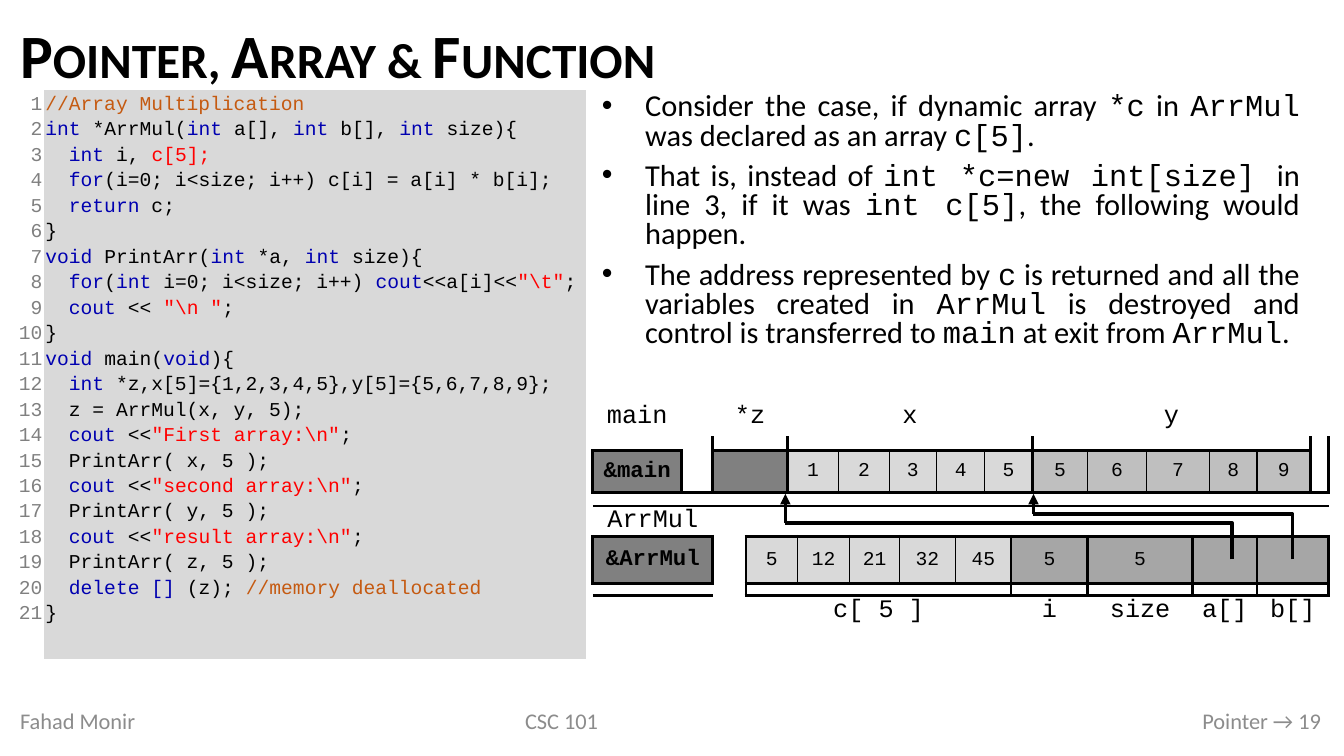
import pptx
import pptx.util
import pptx.dml.color
import pptx.enum.shapes
import pptx.enum.text
import pptx.oxml
import pptx.oxml.ns
import lxml.etree

Inches, Pt = pptx.util.Inches, pptx.util.Pt
RGB = pptx.dml.color.RGBColor
ALIGN = pptx.enum.text.PP_ALIGN
MIDDLE = pptx.enum.text.MSO_ANCHOR.MIDDLE
LINE = pptx.enum.shapes.MSO_CONNECTOR

BLACK = RGB(0, 0, 0)
BLUE = RGB(0, 0, 0xB0)
RED = RGB(0xFF, 0, 0)
RUST = RGB(0xC5, 0x5A, 0x11)
DARK = RGB(0x80, 0x80, 0x80)
ASH = RGB(0xA6, 0xA6, 0xA6)
GREY = RGB(0xBF, 0xBF, 0xBF)
LIGHT = RGB(0xD9, 0xD9, 0xD9)
FOOT = RGB(0x8C, 0x8C, 0x8C)
SANS, MONO = "Calibri", "Courier New"

# Content: "|" parts the runs; @ is a keyword, ! a literal, # a remark
TITLE = "Pointer, Array & Function"
MARKS = {"@": BLUE, "!": RED, "#": RUST}
CODE = [
    "#//Array Multiplication",
    "@int| *ArrMul(|@int| a[], |@int| b[], |@int| size){",
    "  |@int |i, |!c[5];",
    "  |@for|(i=0; i<size; i++) c[i] = a[i] * b[i];",
    "  |@return| c;",
    "}",
    "@void |PrintArr(|@int| *a, |@int| size){",
    '  |@for|(|@int |i=0; i<size; i++) |@cout|<<a[i]<<|!"\\t"|;',
    '  |@cout |<< |!"\\n "|;',
    "}",
    "@void| main(|@void|){",
    "  |@int| *z,x[5]={1,2,3,4,5},y[5]={5,6,7,8,9};",
    "  z = ArrMul(x, y, 5);",
    '  |@cout |<<|!"First array:\\n"|;',
    "  PrintArr( x, 5 );",
    '  |@cout |<<|!"second array:\\n"|;',
    "  PrintArr( y, 5 );",
    '  |@cout |<<|!"result array:\\n"|;',
    "  PrintArr( z, 5 );",
    "  |@delete []| (z); |#//memory deallocated",
    "}",
]
# Every second part is set in the code font
POINTS = [
    "Consider the case, if dynamic array |*c| in |ArrMul| was declared as an array |c[5]|.",
    "That is, instead of |int *c=new int[size] |in line 3, if it was |int c[5]|, "
    "the following would happen.",
    "The address represented by |c| is returned and all the variables created in |ArrMul| "
    "is destroyed and control is transferred to |main| at exit from |ArrMul|.",
]
FOOTER = [
    ("Fahad Monir", 0.1, 2.41, ALIGN.LEFT),
    ("CSC 101", 3.89, 3.36, ALIGN.CENTER),
    ("Pointer → 19", 7.71, 5.49, ALIGN.RIGHT),
]


def array(vals, spans, fill):
    """Cells of one array: thick outside, thin between."""
    last = len(vals) - 1
    return [(val, span, fill, ("l" if i else "L") + "TB" + ("r" if i < last else "R"))
            for i, (val, span) in enumerate(zip(vals, spans))]


# Memory map: (text, columns, fill, edges); capital edges are thick
COLS = [0.88, 0.31, 0.33, 0.41, 0.1, 0.41, 0.11, 0.39, 0.1, 0.37, 0.19,
        0.29, 0.26, 0.21, 0.55, 0.58, 0.46, 0.17, 0.47, 0.53, 0.18]
ROWS = [0.4, 0.14, 0.42, 0.13, 0.3, 0.47, 0.12, 0.3, 0.07]
PAIRS = [2] * 5
LOCALS = [("c[ 5 ]", 10), ("i", 2), ("size", 2), ("a[]", 2), ("b[]", 2)]
MEMORY = [
    [("main", 1, None, ""), ("", 1, None, ""), ("*z", 2, None, ""),
     ("x", 10, None, ""), ("y", 6, None, ""), ("", 1, None, "")],
    [("", 1, None, "B"), ("", 1, None, "R")]
    + [("", span, None, "LRB") for span in (2, 10, 6)] + [("", 1, None, "L")],
    [("&main", 1, DARK, "LTRB"), ("", 1, None, "LR"), ("", 2, DARK, "LTRB")]
    + array("12345", PAIRS, LIGHT) + array("56789", [1, 1, 2, 1, 1], GREY)
    + [("", 1, None, "L")],
    [("", 21, None, "TB")],
    [("ArrMul", 2, None, "B"), ("", 1, None, ""), ("", 18, None, "B")],
    [("&ArrMul", 2, DARK, "LTRB"), ("", 1, None, "LR")]
    + array(["5", "12", "21", "32", "45"], PAIRS, LIGHT)
    + [(val, 2, ASH, "LTRB") for val in ("5", "5", "", "")],
    [("", 2, None, "TB"), ("", 1, None, "R")]
    + [("", span, None, "LTRB") for _, span in LOCALS],
    [("", 2, None, ""), ("", 1, None, "")]
    + [(name, span, None, "") for name, span in LOCALS],
    [("", 21, None, "")],
]
# Pointers: start x, bend y, target x
LINKS = [(12.22, 5.19, 7.79), (12.82, 5.1, 10.25)]


def style(font, size, face, color=BLACK, bold=False):
    font.size, font.name, font.bold = Pt(size), face, bold
    font.color.rgb = color


def node(up, tag, **attrs):
    return lxml.etree.SubElement(up, pptx.oxml.ns.qn(tag), attrs)


def box(left, top, width, height):
    frame = slide.shapes.add_textbox(*map(Inches, (left, top, width, height))).text_frame
    frame.word_wrap = True
    return frame


def grid(left, top, cols, rows):
    table = slide.shapes.add_table(len(rows), len(cols), Inches(left), Inches(top),
                                   Inches(sum(cols)), Inches(sum(rows))).table
    table.first_row = table.horz_banding = False
    plain = "{2D5ABB26-0587-4C30-8999-92F81FD0307C}"
    table._tbl.tblPr.find(pptx.oxml.ns.qn("a:tableStyleId")).text = plain
    for part, sizes in ((table.columns, cols), (table.rows, rows)):
        for item, size in zip(part, sizes):
            if part is table.columns:
                item.width = Inches(size)
            else:
                item.height = Inches(size)
    return table


def dress(cell, fill, side, rim, edges=""):
    cell.margin_left = cell.margin_right = Inches(side)
    cell.margin_top = cell.margin_bottom = Inches(rim)
    props = cell._tc.get_or_add_tcPr()
    for edge in "LRTB":
        if edge in edges.upper():
            width = Pt(2.25 if edge in edges else 1)
            line = node(props, "a:ln" + edge, w=str(width))
            node(node(line, "a:solidFill"), "a:srgbClr", val=str(BLACK))
    if fill is None:
        cell.fill.background()
    else:
        cell.fill.solid()
        cell.fill.fore_color.rgb = fill


def wire(group, kind, *ends):
    link = group.shapes.add_connector(kind, *map(Inches, ends))
    link.line.color.rgb, link.line.width = BLACK, Pt(2.5)
    node(link._element.spPr, "a:effectLst")
    return link


deck = pptx.Presentation()
deck.slide_width, deck.slide_height = Inches(13.33), Inches(7.5)
slide = deck.slides.add_slide(deck.slide_layouts[5])

# Title
head = slide.shapes.title
head.left, head.top, head.width, head.height = map(Inches, (0.1, 0.11, 13.1, 0.95))
head.text_frame.text = TITLE
head.text_frame.vertical_anchor = MIDDLE
para = head.text_frame.paragraphs[0]
para.alignment, para.line_spacing = ALIGN.LEFT, 0.9
style(para.font, 44, SANS, bold=True)
para.runs[0].font._element.set("cap", "small")

# Bullets
frame = box(5.87, 0.88, 7.12, 3.13)
for i, point in enumerate(POINTS):
    para = frame.add_paragraph() if i else frame.paragraphs[0]
    para.alignment, para.line_spacing = ALIGN.JUSTIFY, 0.8
    para.space_before = para.space_after = Pt(4)
    props = para._p.get_or_add_pPr()
    props.set("marL", str(Inches(0.43)))
    props.set("indent", str(-Inches(0.43)))
    node(props, "a:buFont", typeface="Arial")
    node(props, "a:buChar", char="•")
    style(para.font, 21.7, SANS)
    for j, part in enumerate(point.split("|")):
        run = para.add_run()
        run.text = part
        if j % 2:
            run.font.name = MONO

# Memory map
table = grid(5.88, 3.93, COLS, ROWS)
for r, row in enumerate(MEMORY):
    c = 0
    for text, span, fill, edges in row:
        cell = table.cell(r, c)
        if span > 1:
            cell.merge(table.cell(r, c + span - 1))
        for k in range(c, c + span):
            dress(table.cell(r, k), fill, 0.07, 0, edges if k == c else "")
            table.cell(r, k).text_frame.paragraphs[0]._p.get_or_add_endParaRPr().set("sz", "100")
        if text:
            cell.vertical_anchor = MIDDLE
            para = cell.text_frame.paragraphs[0]
            para.text, para.alignment = text, ALIGN.CENTER
            bold = text[0] == "&"
            style(para.font, 16 if bold else 14 if fill else 18, MONO, bold=bold)
        c += span

# Pointer arrows
for start, bend, goal in LINKS:
    group = slide.shapes.add_group_shape()
    elbow = wire(group, LINE.ELBOW, start, 5.55, goal, bend)
    shape = elbow._element.spPr.find(pptx.oxml.ns.qn("a:prstGeom"))
    node(shape.get_or_add_avLst(), "a:gd", name="adj1", fmla="val 0")
    arrow = wire(group, LINE.STRAIGHT, goal, bend, goal, 4.9)
    node(arrow.line._get_or_add_ln(), "a:tailEnd", type="triangle")

# Code listing
count, code = grid(0.04, 0.89, [0.4, 5.37], [5.65]).rows[0].cells
dress(count, None, 0.02, 0.01)
dress(code, LIGHT, 0.01, 0.01)
para = count.text_frame.paragraphs[0]
para.text = "\n".join(str(n + 1) for n in range(len(CODE)))
para.alignment, para.line_spacing = ALIGN.RIGHT, 1.15
style(para.font, 14, MONO, DARK)
for i, line in enumerate(CODE):
    para = code.text_frame.add_paragraph() if i else code.text_frame.paragraphs[0]
    para.line_spacing = 1.15
    style(para.font, 14, MONO)
    for part in line.split("|"):
        run = para.add_run()
        run.text = part[1:] if part[0] in MARKS else part
        run.font.color.rgb = MARKS.get(part[0], BLACK)

# Footer
for text, left, width, align in FOOTER:
    frame = box(left, 6.95, width, 0.4)
    frame.vertical_anchor = MIDDLE
    para = frame.paragraphs[0]
    para.text, para.alignment = text, align
    style(para.font, 16, SANS, FOOT)

deck.save("out.pptx")
